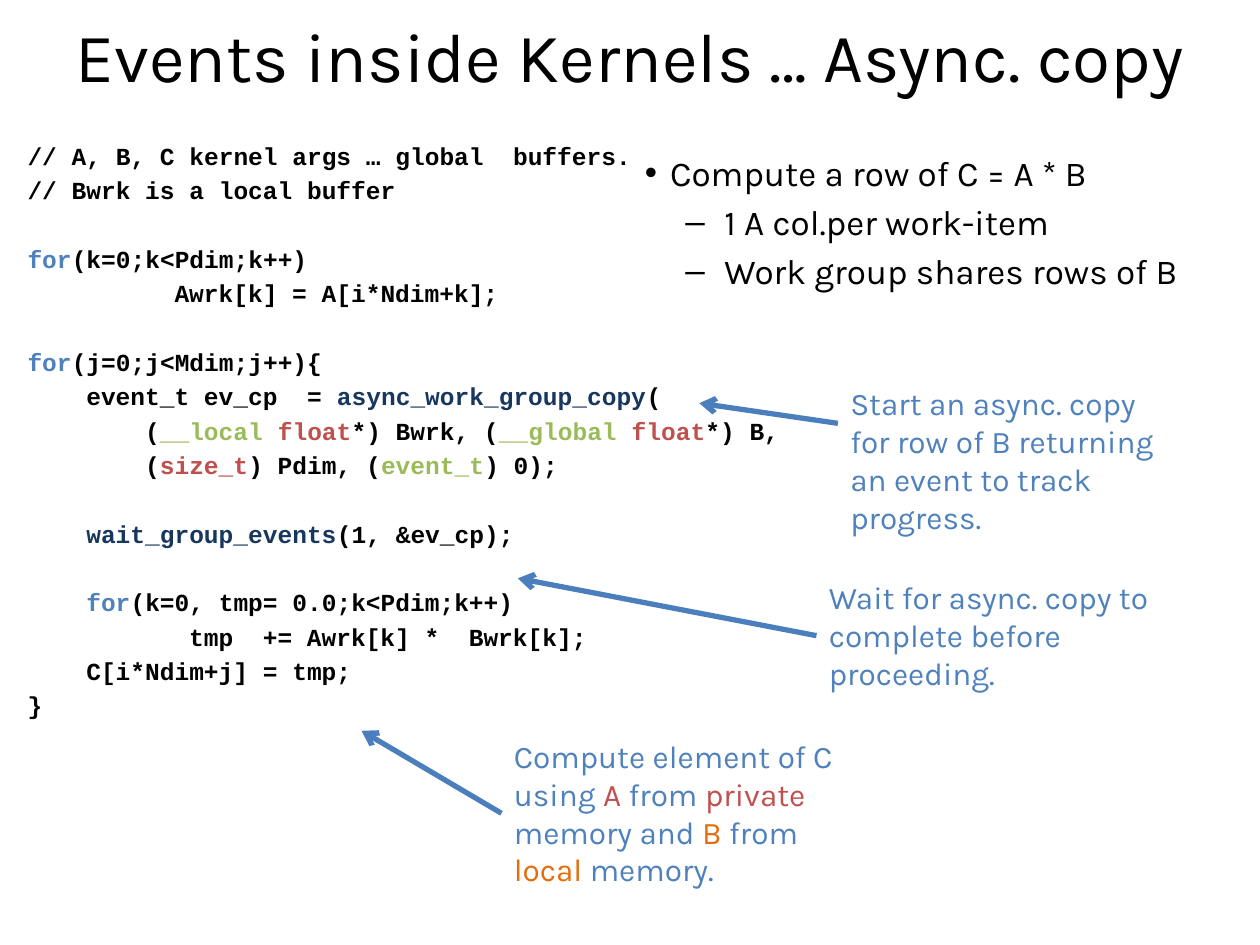
from dataclasses import dataclass
from typing import NamedTuple, Optional

from lxml.etree import SubElement
from pptx import Presentation
from pptx.dml.color import RGBColor
from pptx.enum.shapes import MSO_CONNECTOR
from pptx.enum.text import MSO_ANCHOR, MSO_AUTO_SIZE, PP_ALIGN
from pptx.oxml.ns import qn
from pptx.util import Inches, Pt

COLS, ROWS = 100, 75


@dataclass(frozen=True)
class Theme:
    black: str = "000000"
    blue: str = "4F81BD"
    navy: str = "17375E"
    green: str = "9BBB59"
    red: str = "C0504D"
    orange: str = "E46C0A"
    arrow: str = "4B7EBC"
    sans: str = "Karla"
    mono: str = "Courier New"
    title_pt: float = 39.6
    bullet_pt: float = 20
    note_pt: float = 18
    code_pt: float = 14
    code_gap: float = 2.8
    code_pitch: float = 19.64
    bullet_gap: float = 4
    arrow_pt: float = 3


T = Theme()


class Box(NamedTuple):
    """Left, top, width and height in grid columns and rows."""
    x: float
    y: float
    w: float
    h: float


class Run(NamedTuple):
    text: str
    color: str = T.black


class CodeLine(NamedTuple):
    runs: list[Run]
    indent: int = 0
    skip: int = 0


class Bullet(NamedTuple):
    text: str
    mark: str
    level: int
    margin: float
    hang: float


class Callout(NamedTuple):
    box: Box
    runs: list[Run]
    target: tuple[float, float]
    start: Optional[tuple[float, float]] = None


TITLE_BOX = Box(1.2, -1.9, 97.6, 12.5)
CODE_BOX = Box(1.2, 10.7, 63.8, 56.3)
BULLET_BOX = Box(48.4, 11.5, 48.8, 11.8)

CODE = [
    CodeLine([Run("// A, B, C kernel args … global  buffers.")]),
    CodeLine([Run("// Bwrk is a local buffer")]),
    CodeLine([Run("for", T.blue), Run("(k=0;k<Pdim;k++)")], skip=1),
    CodeLine([Run("Awrk[k] = A[i*Ndim+k];")], indent=10),
    CodeLine([Run("for", T.blue), Run("(j=0;j<Mdim;j++){")], skip=1),
    CodeLine([Run("event_t ev_cp  = "), Run("async_work_group_copy", T.navy),
              Run("(")], indent=4),
    CodeLine([Run("("), Run("__local ", T.green), Run("float", T.red),
              Run("*) Bwrk, ("), Run("__global", T.green),
              Run(" float", T.red), Run("*) B,")], indent=8),
    CodeLine([Run("("), Run("size_t", T.red), Run(") Pdim, ("),
              Run("event_t", T.green), Run(") 0);")], indent=8),
    CodeLine([Run("wait_group_events", T.navy), Run("(1, &ev_cp);")],
             indent=4, skip=1),
    CodeLine([Run("for", T.blue), Run("(k=0, tmp= 0.0;k<Pdim;k++)")],
             indent=4, skip=1),
    CodeLine([Run("tmp  += Awrk[k] *  Bwrk[k];")], indent=11),
    CodeLine([Run("C[i*Ndim+j] = tmp;")], indent=4),
    CodeLine([Run("}")]),
]

# The short first hang keeps the dot clear of the code's first line.
BULLETS = [
    Bullet("Compute a row of C = A * B", "•", 0, 0.38, 0.2),
    Bullet("1 A col.per work-item", "–", 1, 0.81, 0.31),
    Bullet("Work group shares rows of B", "–", 1, 0.81, 0.31),
]

CALLOUTS = [
    Callout(Box(66.5, 30, 28.3, 13.1),
            [Run("Start an async. copy for row of B returning an event "
                 "to track progress.", T.blue)],
            target=(55.5, 32), start=(66.5, 33.6)),
    Callout(Box(64.8, 45.4, 28.3, 10.1),
            [Run("Wait for async. copy to complete before proceeding.", T.blue)],
            target=(41.1, 45.9)),
    Callout(Box(39.8, 58, 28.3, 13.1),
            [Run("Compute element of C using ", T.blue), Run("A", T.red),
             Run(" from ", T.blue), Run("private ", T.red),
             Run("memory and ", T.blue), Run("B ", T.orange),
             Run("from ", T.blue), Run("local ", T.orange),
             Run("memory.", T.blue)],
            target=(28.7, 58)),
]

prs = Presentation()
prs.slide_width, prs.slide_height = Inches(10), Inches(7.5)
s = prs.slides.add_slide(prs.slide_layouts[6])


def col(n: float) -> int:
    return round(prs.slide_width * n / COLS)


def row(n: float) -> int:
    return round(prs.slide_height * n / ROWS)


def add_box(box: Box, anchor=MSO_ANCHOR.TOP):
    sp = s.shapes.add_textbox(col(box.x), row(box.y), col(box.w), row(box.h))
    sp.text_frame.word_wrap = True
    sp.text_frame.vertical_anchor = anchor
    return sp


def next_paragraph(tf, index: int):
    return tf.add_paragraph() if index else tf.paragraphs[0]


def add_runs(p, runs: list[Run], size: float, font: str, bold: bool = False) -> None:
    for run in runs:
        r = p.add_run()
        r.text = run.text
        r.font.size, r.font.name, r.font.bold = Pt(size), font, bold
        r.font.color.rgb = RGBColor.from_string(run.color)


def add_title(text: str) -> None:
    p = add_box(TITLE_BOX, MSO_ANCHOR.MIDDLE).text_frame.paragraphs[0]
    p.alignment = PP_ALIGN.CENTER
    add_runs(p, [Run(text)], T.title_pt, T.sans)


def add_code(lines: list[CodeLine]) -> None:
    """Indent by whole characters (0.6 em) and skip lines with paragraph spacing."""
    tf = add_box(CODE_BOX).text_frame
    for i, line in enumerate(lines):
        p = next_paragraph(tf, i)
        p.space_before = Pt(T.code_gap + line.skip * T.code_pitch)
        p._p.get_or_add_pPr().set("marL", str(Pt(line.indent * T.code_pt * 0.6)))
        add_runs(p, line.runs, T.code_pt, T.mono, bold=True)


def add_bullets(bullets: list[Bullet]) -> None:
    tf = add_box(BULLET_BOX).text_frame
    for i, item in enumerate(bullets):
        p = next_paragraph(tf, i)
        p.level, p.space_before = item.level, Pt(T.bullet_gap)
        pPr = p._p.get_or_add_pPr()
        pPr.set("marL", str(Inches(item.margin)))
        pPr.set("indent", str(-Inches(item.hang)))
        SubElement(pPr, qn("a:buFont"), typeface="Arial")
        SubElement(pPr, qn("a:buChar"), char=item.mark)
        add_runs(p, [Run(item.text)], T.bullet_pt, T.sans)


def add_callout(note: Callout) -> None:
    """Draw the note and its arrow, joined to the left side unless a start is given."""
    sp = add_box(note.box)
    sp.text_frame.auto_size = MSO_AUTO_SIZE.SHAPE_TO_FIT_TEXT
    add_runs(sp.text_frame.paragraphs[0], note.runs, T.note_pt, T.sans)
    x, y = note.start or (note.box.x, note.box.y + note.box.h / 2)
    line = s.shapes.add_connector(MSO_CONNECTOR.STRAIGHT, col(x), row(y),
                                  col(note.target[0]), row(note.target[1]))
    if note.start is None:
        line.begin_connect(sp, 1)
    line.line.color.rgb = RGBColor.from_string(T.arrow)
    line.line.width = Pt(T.arrow_pt)
    SubElement(line.line._get_or_add_ln(), qn("a:tailEnd"), type="arrow")
    SubElement(line._element.spPr, qn("a:effectLst"))


add_title("Events inside Kernels … Async. copy")
add_code(CODE)
add_bullets(BULLETS)
for callout in CALLOUTS:
    add_callout(callout)
prs.save("out.pptx")
